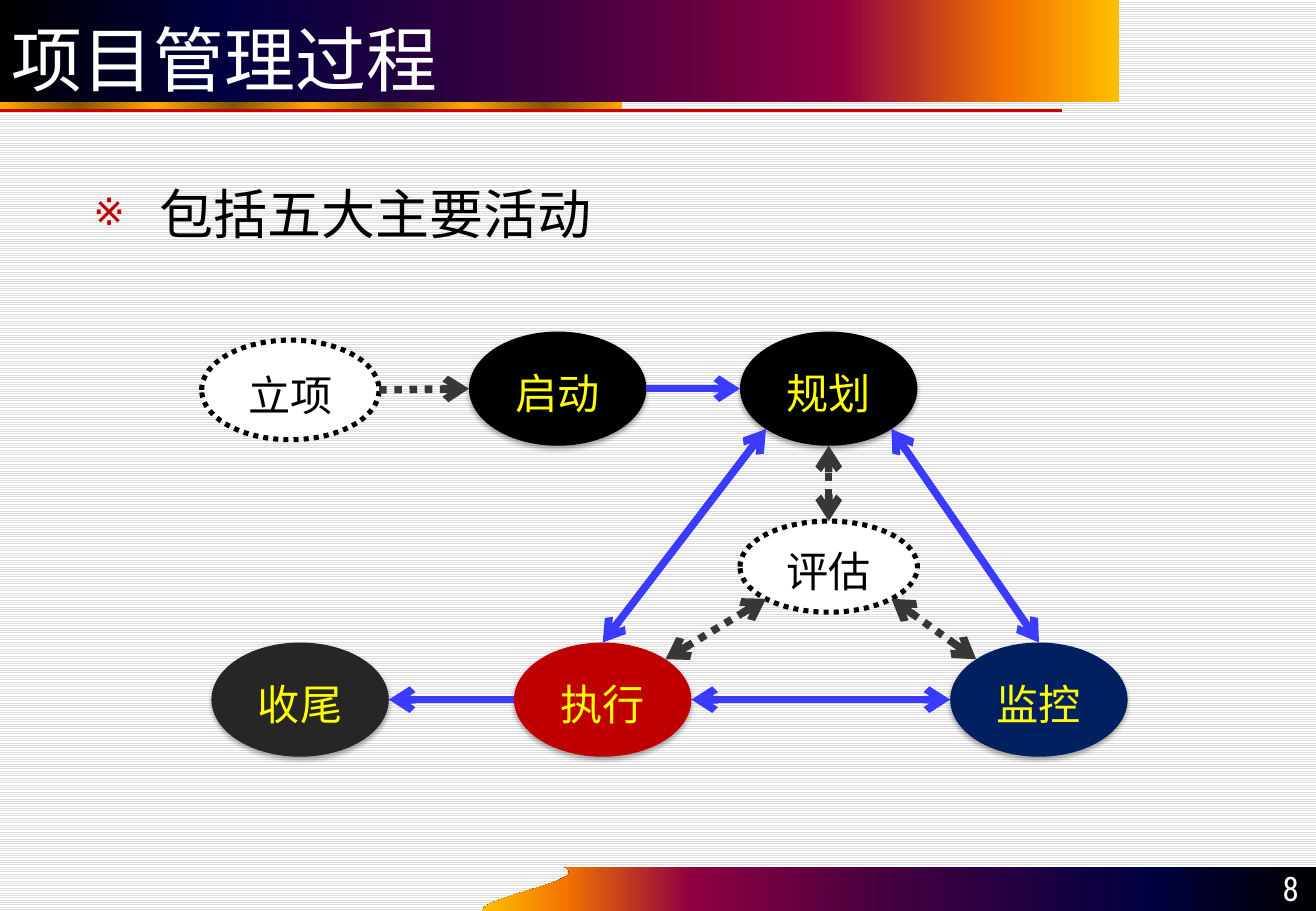
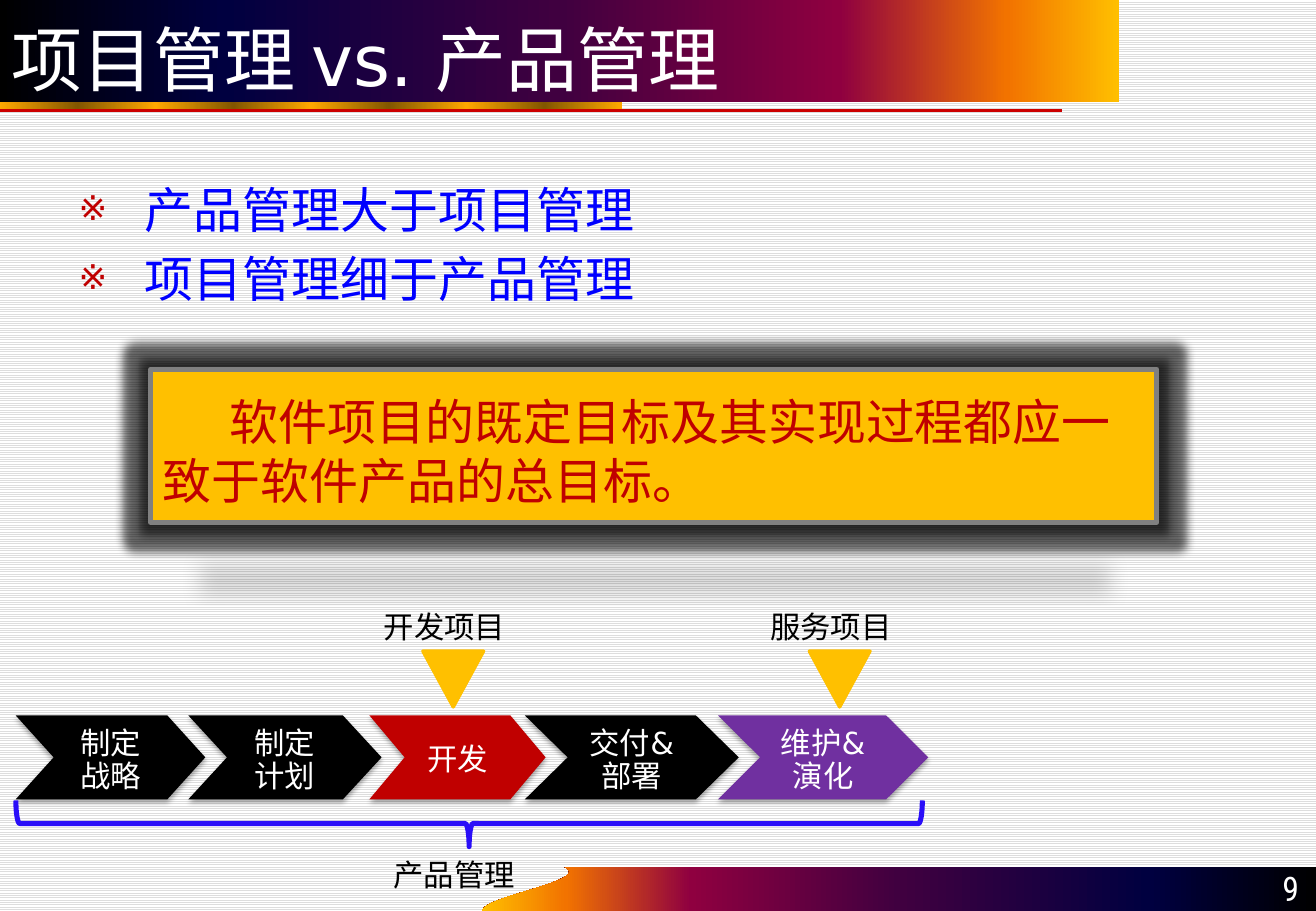
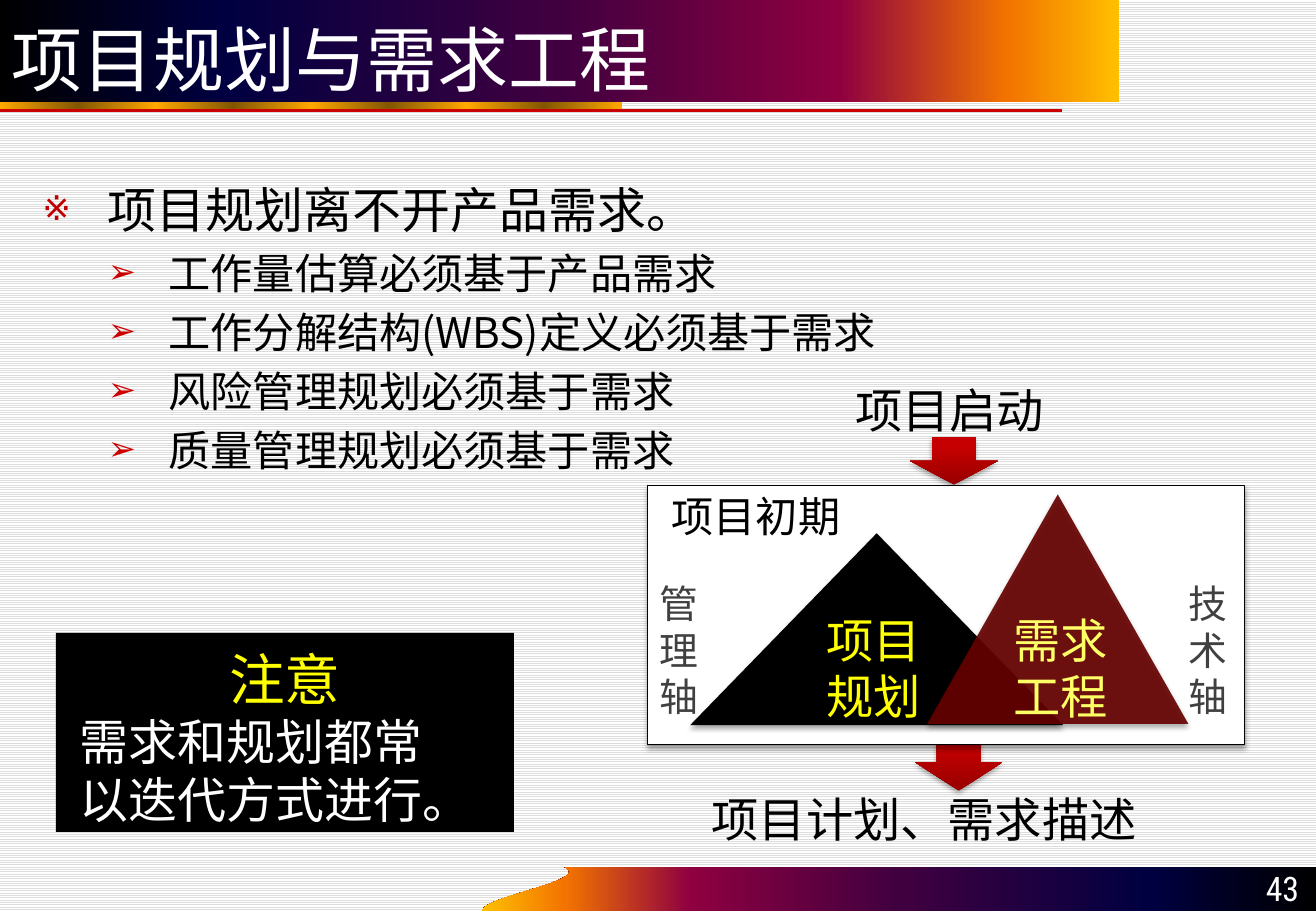
from lxml.etree import SubElement
from pptx import Presentation
from pptx.dml.color import RGBColor
from pptx.enum.dml import MSO_LINE, MSO_PATTERN
from pptx.enum.shapes import MSO_CONNECTOR, MSO_SHAPE
from pptx.enum.text import MSO_ANCHOR, PP_ALIGN
from pptx.oxml.ns import qn
from pptx.util import Inches, Pt

CELL = Inches(0.1)
COLS, ROWS = 108.3, 75
CJK, LATIN, NARROW = "Noto Sans CJK SC", "DejaVu Sans", "Roboto Condensed"
BLACK, WHITE, YELLOW, RED, GOLD = "000000", "FFFFFF", "FFFF00", "C00000", "FFC000"
SUNSET = [(0, BLACK), (20, "000040"), (50, "400040"), (75, "8F0040"), (90, "F27300"), (100, "FFBF00")]
BRASS = [(i * 12.5, ("FFA800", "825600")[i % 2]) for i in range(9)]
SCARLET = [(0, "980000"), (80, "C60000"), (100, "C70000")]
DROP = {MSO_ANCHOR.TOP: 0.1, MSO_ANCHOR.MIDDLE: 0.2, MSO_ANCHOR.BOTTOM: 0}
DIAGONAL = 0.5 ** 0.5


def rgb(hex_text):
    return RGBColor.from_string(hex_text)


def cells(n):
    return int(n * CELL)


def within(box, x, y, w, h):
    return box[0] + x, box[1] + y, w, h


def node(parent, tag, **attrs):
    return SubElement(parent, qn("a:" + tag), {k: str(v) for k, v in attrs.items()})


def tint(parent, color, alpha=100):
    clr = node(parent, "srgbClr", val=color)
    if alpha < 100:
        node(clr, "alpha", val=alpha * 1000)


def gradient(shape, stops, angle=0):
    shape.fill.background()
    spPr = shape._element.spPr
    old = spPr.find(qn("a:noFill"))
    grad = node(spPr, "gradFill", rotWithShape=1)
    gsLst = node(grad, "gsLst")
    for pos, color in stops:
        tint(node(gsLst, "gs", pos=int(pos * 1000)), color)
    node(grad, "lin", ang=angle * 60000, scaled=0)
    spPr.replace(old, grad)


def paint(shape, fill=None, line=None, width=1, dash=None, alpha=100, angle=0, shadow=False):
    shape.shadow.inherit = False
    if line:
        shape.line.color.rgb = rgb(line)
        shape.line.width = Pt(width)
        if dash:
            shape.line.dash_style = dash
    else:
        shape.line.fill.background()
    if isinstance(fill, list):
        gradient(shape, fill, angle)
    elif fill:
        shape.fill.solid()
        shape.fill.fore_color.rgb = rgb(fill)
        if alpha < 100:
            clr = shape._element.spPr.find(qn("a:solidFill"))[0]
            node(clr, "alpha", val=alpha * 1000)
    else:
        shape.fill.background()
    if shadow:
        cast(shape, 3.1, 1.8, 35)
    return shape


def cast(shape, blur, dist, alpha, **scale):
    effects = shape._element.spPr.find(qn("a:effectLst"))
    tint(node(effects, "outerShdw", blurRad=Pt(blur), dist=Pt(dist), dir=5400000,
              **scale, rotWithShape=0), BLACK, alpha)


def draw(s, kind, box, **style):
    return paint(s.shapes.add_shape(kind, *map(cells, box)), **style)


def connect(s, start, end, color, width, dash=None, head=False, tail=False):
    line = s.shapes.add_connector(MSO_CONNECTOR.STRAIGHT, *map(cells, (*start, *end)))
    line.line.color.rgb = rgb(color)
    line.line.width = Pt(width)
    if dash:
        line.line.dash_style = dash
    ln = line.line._get_or_add_ln()
    for end_tag, wanted in (("headEnd", head), ("tailEnd", tail)):
        if wanted:
            node(ln, end_tag, type="arrow")
    node(line._element.spPr, "effectLst")


def add_para(p, text, size=18, color=BLACK, font=CJK, align=PP_ALIGN.LEFT, leading=1.2,
             before=0, left=0, first=0, bullet=None):
    p.alignment = align
    p.line_spacing = Pt(round(size * leading, 1))
    p.space_before = Pt(round(before * size, 1))
    pPr = p._p.get_or_add_pPr()
    pPr.set("marL", str(cells(left)))
    pPr.set("indent", str(cells(first)))
    if bullet:
        mark, mark_color, percent = bullet
        tint(node(pPr, "buClr"), mark_color)
        node(pPr, "buSzPct", val=percent * 1000)
        node(pPr, "buFont", typeface=LATIN)
        node(pPr, "buChar", char=mark)
    for i, row in enumerate(text.split("\n")):
        if i:
            p.add_line_break()
        r = p.add_run()
        r.text = row
        r.font.size = Pt(size)
        r.font.name = font
        r.font.color.rgb = rgb(color)
        r._r.rPr.find(qn("a:latin")).addnext(node(r._r.rPr, "ea", typeface=CJK))


def write(shape, *paras, anchor=MSO_ANCHOR.TOP, inset=0.1, **fmt):
    tf = shape.text_frame
    tf.word_wrap = True
    tf.vertical_anchor = anchor
    paras = [(p, {}) if isinstance(p, str) else p for p in paras]
    size = {**fmt, **paras[0][1]}.get("size", 18)
    tf.margin_left = tf.margin_right = Inches(inset)
    tf.margin_bottom = Inches(0.05)
    tf.margin_top = Inches(0.05) + Pt(DROP[anchor] * size)
    for i, (text, extra) in enumerate(paras):
        p = tf.add_paragraph() if i else tf.paragraphs[0]
        add_para(p, text, **{**fmt, **extra})


def label(s, box, *paras, **fmt):
    write(s.shapes.add_textbox(*map(cells, box)), *paras, **fmt)


def header(s, box, title):
    x, y, w, h = box
    draw(s, MSO_SHAPE.RECTANGLE, (x, y + h - 0.8, 51.2, 1.5), fill=BRASS)
    connect(s, (x, y + h + 0.7), (x + 87.4, y + h + 0.7), "CC0000", 1.5)
    banner = draw(s, MSO_SHAPE.RECTANGLE, box, fill=SUNSET)
    write(banner, title, anchor=MSO_ANCHOR.MIDDLE, size=42, color=WHITE, font=LATIN)


def footer(s, box, number):
    x, y, w, h = box
    xs = (x, x, x + 9, x + 6.8)
    ys = (y + h, y + h * 0.67, y + h * 0.31, y)
    curve = []
    for i in range(25):
        t = i / 24
        weights = ((1 - t) ** 3, 3 * t * (1 - t) ** 2, 3 * t * t * (1 - t), t ** 3)
        curve.append(tuple(cells(sum(a * b for a, b in zip(weights, axis))) for axis in (xs, ys)))
    corners = [(cells(x + w), cells(y)), (cells(x + w), cells(y + h))]
    builder = s.shapes.build_freeform(*curve[0], scale=1.0)
    builder.add_line_segments(curve[1:] + corners, close=True)
    paint(builder.convert_to_shape(), fill=SUNSET, angle=180)
    label(s, within(box, w - 10, -0.1, 9.6, 4), number, anchor=MSO_ANCHOR.BOTTOM,
          size=20, color=WHITE, font=NARROW, align=PP_ALIGN.RIGHT)


def bullets(s, box, size, items, color=BLACK):
    top = dict(size=size, left=5.4, first=-5.4, bullet=("※", RED, 70))
    sub = dict(size=25, left=10.4, first=-5, bullet=("➢", "CC0000", 80))
    paras = [(text, {**(sub if level else top), "before": 0.2 if i else 0})
             for i, (level, text) in enumerate(items)]
    label(s, box, *paras, color=color)


def process_map(s, box):
    steps = {
        "启动": (29.3, 4.7, BLACK),
        "规划": (51.6, 4.7, BLACK),
        "执行": (33, 30.3, RED),
        "监控": (68.9, 30.3, "002060"),
        "收尾": (8.1, 30.3, "262626"),
    }
    extras = {"立项": (7.3, 4.8, 8.2), "评估": (51.6, 19.35, 7.5)}
    ovals = {}

    def oval(name, cx, cy, h, color, **style):
        ovals[name] = within(box, cx - 7.3, cy - h / 2, 14.6, h)
        shape = draw(s, MSO_SHAPE.OVAL, ovals[name], **style)
        write(shape, name, anchor=MSO_ANCHOR.MIDDLE, size=25, color=color, align=PP_ALIGN.CENTER)

    def site(name, side):
        x, y, w, h = ovals[name]
        reach = DIAGONAL if len(side) == 2 else 1
        dx = ("e" in side) - ("w" in side)
        dy = ("s" in side) - ("n" in side)
        return x + w / 2 * (1 + dx * reach), y + h / 2 * (1 + dy * reach)

    for name, (cx, cy, fill) in steps.items():
        oval(name, cx, cy, 9.4, YELLOW, fill=fill, shadow=True)
    for name, (cx, cy, h) in extras.items():
        oval(name, cx, cy, h, BLACK, fill=WHITE, line=BLACK, width=3, dash=MSO_LINE.ROUND_DOT)
    flows = [
        ("启动", "e", "规划", "w", False), ("规划", "sw", "执行", "n", True),
        ("监控", "n", "规划", "se", True), ("执行", "e", "监控", "w", True),
        ("执行", "w", "收尾", "e", False), ("立项", "e", "启动", "w", False),
        ("评估", "se", "监控", "nw", True), ("评估", "n", "规划", "s", True),
        ("评估", "sw", "执行", "ne", True),
    ]
    for a, side_a, b, side_b, both in flows:
        dotted = a in extras
        connect(s, site(a, side_a), site(b, side_b), "373737" if dotted else "3B3BFF", 4.5,
                dash=MSO_LINE.ROUND_DOT if dotted else None, head=both, tail=True)


def statement(s, box, text):
    shape = draw(s, MSO_SHAPE.RECTANGLE, box, fill=GOLD, line="808080", width=3)
    effects = shape._element.spPr.find(qn("a:effectLst"))
    tint(node(effects, "glow", rad=Pt(11)), BLACK, 60)
    cast(shape, 12, 25, 15, sx=90000, sy=-19000)
    write(shape, text, anchor=MSO_ANCHOR.MIDDLE, size=29, color=RED, font=LATIN, first=5.5)


def value_chain(s, box):
    stages = [
        (0, 15.6, "制定\n战略", BLACK), (14.2, 15.9, "制定\n计划", BLACK),
        (29.1, 14.5, "开发", RED), (41.9, 17.6, "交付&\n部署", BLACK),
        (57.8, 17.3, "维护&\n演化", "7030A0"),
    ]
    h = 6.9
    for x, w, text, fill in stages:
        shape = draw(s, MSO_SHAPE.CHEVRON, within(box, x, 9.6, w, h), fill=fill, shadow=True)
        shape.adjustments[0] = 0.2 * w / h
        write(shape, text, anchor=MSO_ANCHOR.MIDDLE, inset=0, color=WHITE, font=LATIN,
              align=PP_ALIGN.CENTER, leading=1.08)
    for i, text in enumerate(("开发项目", "服务项目")):
        x = 29.3 + i * 31.8
        marker = draw(s, MSO_SHAPE.ISOSCELES_TRIANGLE, within(box, x + 4.2, 4.3, 5, 4.6),
                      fill=GOLD, line=GOLD, width=2)
        marker.rotation = 180
        label(s, within(box, x, 0, 15.1, 4), text)
    span, depth = box[2], 3.8
    brace = draw(s, MSO_SHAPE.RIGHT_BRACE,
                 within(box, (span - depth) / 2, 16.6 + (depth - span) / 2, depth, span),
                 line="2A0EF8", width=3)
    brace.rotation = 90
    label(s, within(box, 30.1, 20.4, 15.1, 4), "产品管理")


def twin_peaks(s, box):
    for x, y, h in ((21.6, 5.5, 3.9), (22, 29.9, 4.7)):
        draw(s, MSO_SHAPE.DOWN_ARROW, within(box, x, y, 7.2, h), fill=SCARLET, angle=270, shadow=True)
    draw(s, MSO_SHAPE.RECTANGLE, within(box, 0, 9.5, box[2], 21.3), fill=WHITE,
         line=BLACK, width=0.75, shadow=True)
    draw(s, MSO_SHAPE.ISOSCELES_TRIANGLE, within(box, 3.5, 13.4, 30.7, 15.8), fill=BLACK, shadow=True)
    draw(s, MSO_SHAPE.ISOSCELES_TRIANGLE, within(box, 23, 10.2, 21.5, 18.9), fill="660000",
         alpha=91, shadow=True)
    captions = [
        (1, 9, 16, 5.2, 25, BLACK, ["项目初期"]),
        (16.1, 0, 19.5, 5.7, 28, BLACK, ["项目启动"]),
        (4.3, 33.7, 37.6, 5.7, 28, BLACK, ["项目计划、需求描述"]),
        (13.7, 18.9, 9.9, 10.4, 28, YELLOW, ["项目\n规划"]),
        (29.1, 18.9, 9.9, 10.4, 28, "FFFF66", ["需求\n工程"]),
        (43.5, 16.4, 5.2, 12.6, 23, "404040", ["技\n术", "轴"]),
        (0, 16.4, 5.2, 12.6, 23, "404040", ["管\n理", "轴"]),
    ]
    for *place, size, color, paras in captions:
        label(s, within(box, *place), *paras, size=size, color=color)


def notice(s, box, heading, text):
    shape = draw(s, MSO_SHAPE.RECTANGLE, box, fill=BLACK)
    write(shape, (heading, dict(size=33, color=YELLOW, align=PP_ALIGN.CENTER)),
          (text, dict(size=29, color=WHITE, left=1)), font=LATIN)


def new_slide(prs, title, number):
    s = prs.slides.add_slide(prs.slide_layouts[6])
    footer(s, (39.7, 71.4, COLS - 39.7, ROWS - 71.4), number)
    header(s, (0, 0, 92.1, 8.4), title)
    return s


def main():
    prs = Presentation()
    prs.slide_width, prs.slide_height = cells(COLS), cells(ROWS)
    bg = prs.slide_master.background.fill
    bg.patterned()
    bg.pattern = MSO_PATTERN.LIGHT_HORIZONTAL
    bg.fore_color.rgb, bg.back_color.rgb = rgb("DDDDDD"), rgb(WHITE)

    s = new_slide(prs, "项目管理过程", "8")
    bullets(s, (6.7, 13.9, 94.8, 6.3), 32, [(0, "包括五大主要活动")])
    process_map(s, (16.6, 27.3, 76.2, 35))

    s = new_slide(prs, "项目管理 vs. 产品管理", "9")
    bullets(s, (5.5, 13.9, 96, 11.8), 29,
            [(0, "产品管理大于项目管理"), (0, "项目管理细于产品管理")], color="0000FF")
    value_chain(s, (1.3, 49.3, 74.6, 24.4))
    statement(s, (12.4, 30.4, 82.8, 12.6), "软件项目的既定目标及其实现过程都应一致于软件产品的总目标。")

    s = new_slide(prs, "项目规划与需求工程", "43")
    bullets(s, (2.5, 13.9, 94.8, 54.3), 29, [
        (0, "项目规划离不开产品需求。"),
        (1, "工作量估算必须基于产品需求"),
        (1, "工作分解结构(WBS)定义必须基于需求"),
        (1, "风险管理规划必须基于需求"),
        (1, "质量管理规划必须基于需求"),
    ])
    twin_peaks(s, (53.3, 30.5, 49.1, 39.4))
    notice(s, (4.6, 52.1, 37.7, 16.4), "注意", "需求和规划都常\n以迭代方式进行。")
    prs.save("out.pptx")


if __name__ == "__main__":
    main()
